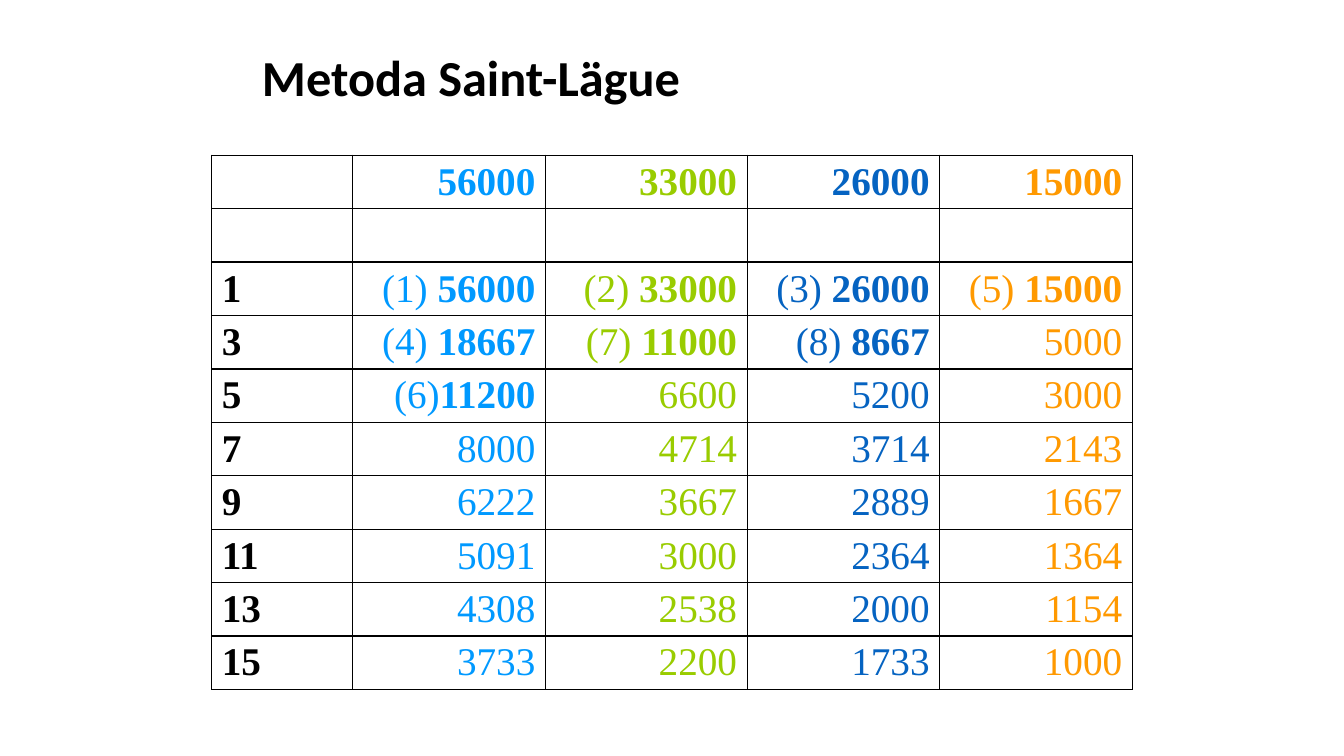
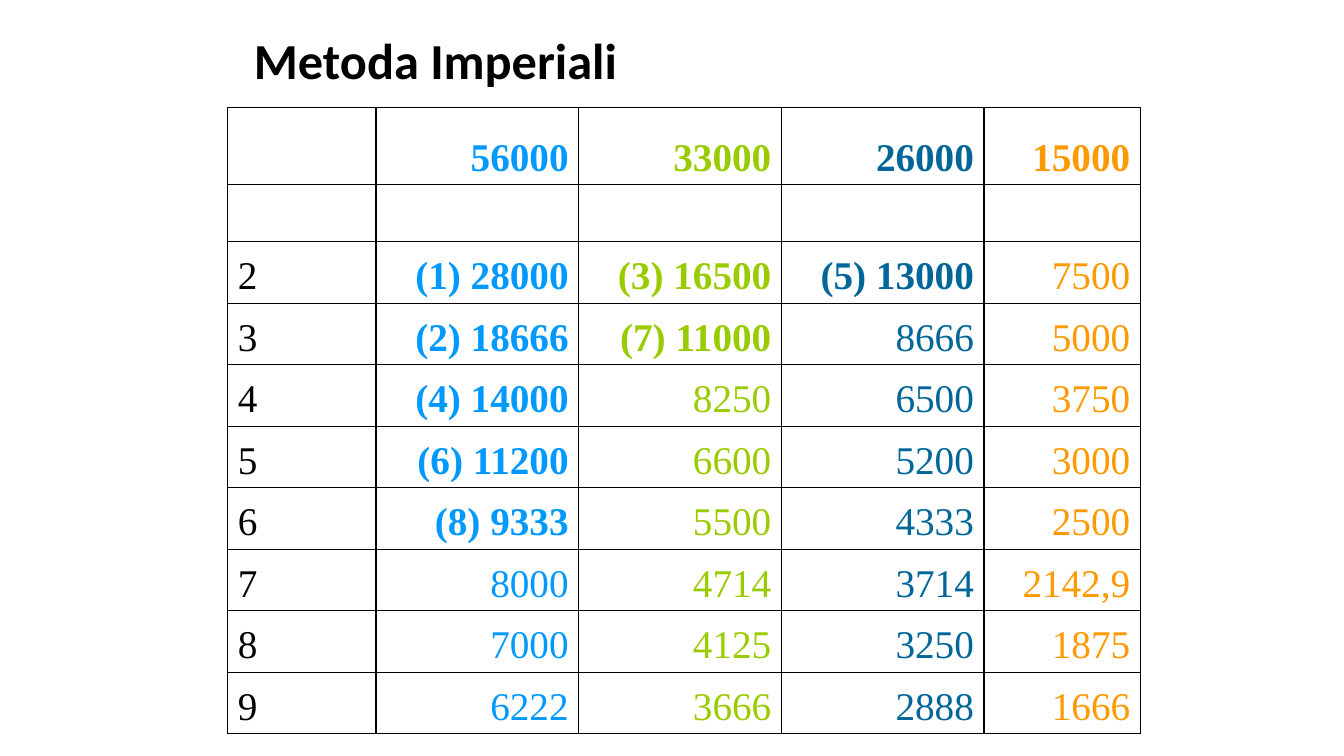
import pptx
import pptx.util
import pptx.dml.color
import pptx.enum.text
import pptx.oxml
import pptx.oxml.ns
from dataclasses import dataclass

Inches, Pt = pptx.util.Inches, pptx.util.Pt
ALIGN = pptx.enum.text.PP_ALIGN
ANCHOR = pptx.enum.text.MSO_ANCHOR


@dataclass(frozen=True)
class Theme:
    ink: str = "000000"
    first: str = "0099FF"
    second: str = "99CC00"
    third_bright: str = "0563C1"
    third_dark: str = "006699"
    fourth: str = "FF9900"
    title_font: str = "Calibri"
    table_font: str = "Times New Roman"
    title_size: int = 36
    table_size: int = 28
    border: float = 1
    hanging: float = 0.38
    cell_top: float = 0.01


theme = Theme()


def write(frame, runs, font, size, color, align=ALIGN.LEFT, spacing=None, hanging=0):
    """Fill a text frame with one paragraph of (text, bold) runs."""
    paragraph = frame.paragraphs[0]
    paragraph.alignment = align
    if spacing:
        paragraph.line_spacing = spacing
    if hanging:
        properties = paragraph._p.get_or_add_pPr()
        properties.set("marL", str(Inches(hanging)))
        properties.set("indent", str(-Inches(hanging)))
    for text, bold in runs:
        run = paragraph.add_run()
        run.text = text
        run.font.name = font
        run.font.size = Pt(size)
        run.font.bold = bold
        run.font.color.rgb = pptx.dml.color.RGBColor.from_string(color)


def outline(cell):
    """Draw the four borders of a table cell."""
    for place, side in enumerate(("lnL", "lnR", "lnT", "lnB")):
        cell._tc.get_or_add_tcPr().insert(place, pptx.oxml.parse_xml(
            f'<a:{side} {pptx.oxml.ns.nsdecls("a")} w="{Pt(theme.border)}">'
            f'<a:solidFill><a:srgbClr val="{theme.ink}"/></a:solidFill></a:{side}>'))


# Content: votes of each party, then divisor and quotients; seats in brackets
votes = ["", "56000", "33000", "26000", "15000"]
methods = [
    dict(
        title="Metoda Saint-Lägue", title_box=(2.5, 0.29, 8.5, 1.02),
        corner=(2.1, 1.54), columns=[1.4, 1.91, 2, 1.91, 1.91], heights=[0.53] * 10,
        third=theme.third_bright, bold_divisor=True, bold_seat=False,
        quotients=[
            ["1", "(1) 56000", "(2) 33000", "(3) 26000", "(5) 15000"],
            ["3", "(4) 18667", "(7) 11000", "(8) 8667", "5000"],
            ["5", "(6)11200", "6600", "5200", "3000"],
            ["7", "8000", "4714", "3714", "2143"],
            ["9", "6222", "3667", "2889", "1667"],
            ["11", "5091", "3000", "2364", "1364"],
            ["13", "4308", "2538", "2000", "1154"],
            ["15", "3733", "2200", "1733", "1000"],
        ]),
    dict(
        title="Metoda Imperiali", title_box=(2.42, 0, 8.5, 1.25),
        corner=(2.26, 1.07), columns=[1.47, 2.01, 2.01, 2.01, 1.55],
        heights=[0.76, 0.57] + [0.61] * 8,
        third=theme.third_dark, bold_divisor=False, bold_seat=True,
        quotients=[
            ["2", "(1) 28000", "(3) 16500", "(5) 13000", "7500"],
            ["3", "(2) 18666", "(7) 11000", "8666", "5000"],
            ["4", "(4) 14000", "8250", "6500", "3750"],
            ["5", "(6) 11200", "6600", "5200", "3000"],
            ["6", "(8) 9333", "5500", "4333", "2500"],
            ["7", "8000", "4714", "3714", "2142,9"],
            ["8", "7000", "4125", "3250", "1875"],
            ["9", "6222", "3666", "2888", "1666"],
        ]),
]

deck = pptx.Presentation()
deck.slide_width, deck.slide_height = Inches(13.33), Inches(7.5)

for method in methods:
    slide = deck.slides.add_slide(deck.slide_layouts[6])

    # Title
    heading = slide.shapes.add_textbox(*map(Inches, method["title_box"])).text_frame
    heading.word_wrap = True
    heading.vertical_anchor = ANCHOR.MIDDLE
    write(heading, [(method["title"], True)], theme.title_font, theme.title_size,
          theme.ink, spacing=0.9)

    # Table grid
    rows = [votes, [""] * len(votes)] + method["quotients"]
    columns, heights = method["columns"], method["heights"]
    size = (sum(columns), sum(heights))
    grid = slide.shapes.add_table(
        len(rows), len(columns), *map(Inches, method["corner"] + size)).table
    grid.first_row = grid.horz_banding = False
    for column, width in zip(grid.columns, columns):
        column.width = Inches(width)
    for row, height in zip(grid.rows, heights):
        row.height = Inches(height)

    # Cells: seat and quotient are separate runs
    colors = [theme.ink, theme.first, theme.second, method["third"], theme.fourth]
    for r, row in enumerate(rows):
        for c, text in enumerate(row):
            cell = grid.cell(r, c)
            cell.fill.background()
            cell.vertical_anchor = ANCHOR.BOTTOM
            cell.margin_top = Inches(theme.cell_top)
            outline(cell)
            if not text:
                continue
            if text.startswith("("):
                cut = text.index(")") + 1
                cut += text[cut] == " "
                runs = [(text[:cut], method["bold_seat"]), (text[cut:], True)]
            else:
                runs = [(text, r == 0 or (c == 0 and method["bold_divisor"]))]
            write(cell.text_frame, runs, theme.table_font, theme.table_size, colors[c],
                  align=ALIGN.RIGHT if c else ALIGN.LEFT, hanging=theme.hanging)

deck.save("out.pptx")
